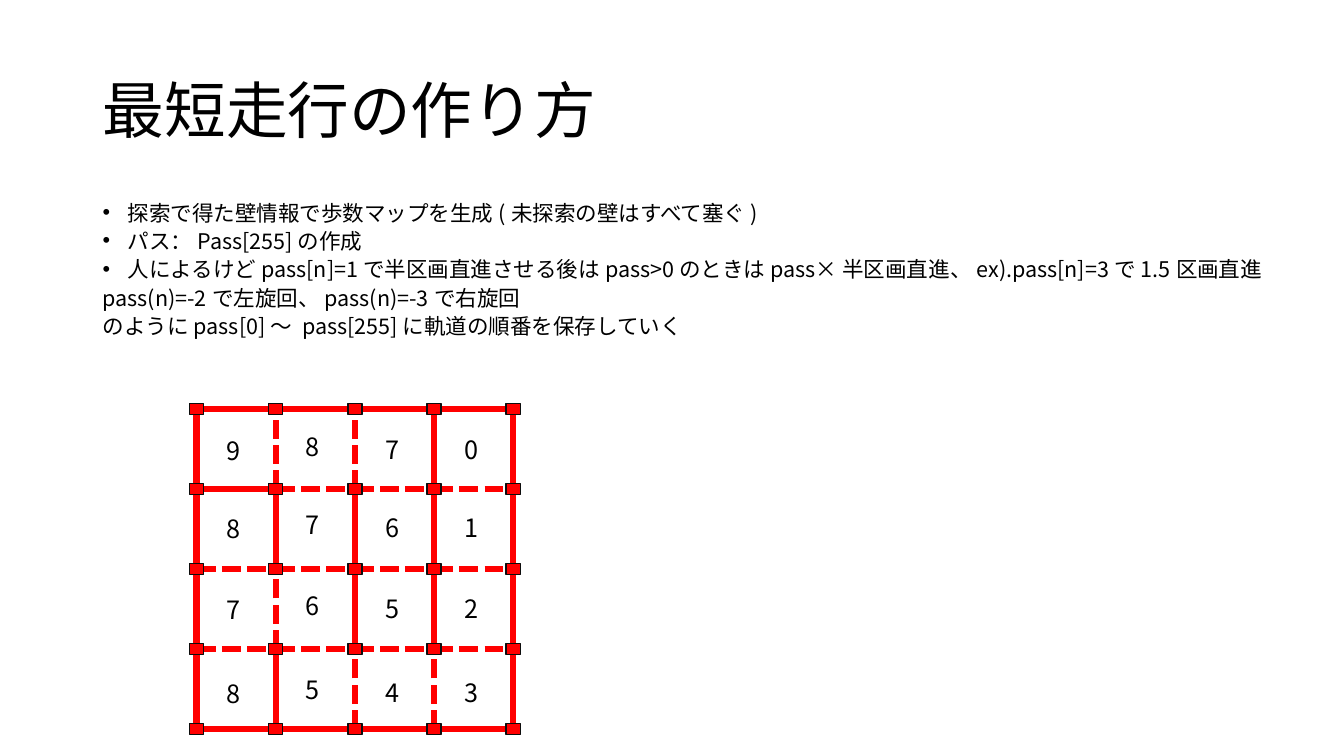
import pptx
import pptx.util
import pptx.dml.color
import pptx.enum.dml
import pptx.enum.shapes
import pptx.enum.text
import pptx.oxml.ns
import lxml.etree

Inches = pptx.util.Inches
Pt = pptx.util.Pt
qn = pptx.oxml.ns.qn
RGBColor = pptx.dml.color.RGBColor
DASH = pptx.enum.dml.MSO_LINE

BLACK = RGBColor(0x00, 0x00, 0x00)
RED = RGBColor(0xFF, 0x00, 0x00)
POST_EDGE = RGBColor(0x0D, 0x0D, 0x0D)
FONT = "Noto Sans CJK JP"

TITLE = "最短走行の作り方"
NOTES = [  # (bulleted, text)
    (True, "探索で得た壁情報で歩数マップを生成(未探索の壁はすべて塞ぐ)"),
    (True, "パス：Pass[255]の作成"),
    (True, "人によるけどpass[n]=1で半区画直進させる後はpass>0のときは"
           "pass×半区画直進、ex).pass[n]=3で1.5区画直進"),
    (False, "pass(n)=-2で左旋回、pass(n)=-3で右旋回"),
    (False, "のようにpass[0]～ pass[255]に軌道の順番を保存していく"),
]

# Maze: "#" is a wall, "." is an open side
ROW_WALLS = ["####", "#...", "....", "....", "####"]
COLUMN_WALLS = ["#..##", "#####", "#.###", "##..#"]
STEPS = ["9870", "8761", "7652", "8543"]
ROW_OFFSETS = [0.2, 0.18, 0.19, 0.23]
COLUMN_NUDGES = [0.01, -0.03, 0, 0]
POST_W, POST_H = 0.14, 0.11
LABEL_W, LABEL_H = 0.48, 0.4


def add_run(p, text, size):
    r = p.add_run()
    r.text = text
    r.font.size = Pt(size)
    r.font.name = FONT
    r.font.color.rgb = BLACK
    lxml.etree.SubElement(r.font._element, qn("a:ea"), typeface=FONT)


def add_text_box(slide, x, y, w, h):
    tf = slide.shapes.add_textbox(Inches(x), Inches(y), Inches(w), Inches(h)).text_frame
    tf.word_wrap = True
    return tf


def add_title(slide, x, y, w, h):
    sp = slide.shapes.title
    sp.left, sp.top, sp.width, sp.height = map(Inches, (x, y, w, h))
    tf = sp.text_frame
    tf.vertical_anchor = pptx.enum.text.MSO_ANCHOR.MIDDLE
    p = tf.paragraphs[0]
    p.alignment = pptx.enum.text.PP_ALIGN.LEFT
    p.line_spacing = 0.9
    add_run(p, TITLE, 44)


def add_notes_text(slide, x, y, w, h):
    tf = add_text_box(slide, x, y, w, h)
    for i, (bulleted, text) in enumerate(NOTES):
        p = tf.add_paragraph() if i else tf.paragraphs[0]
        p.line_spacing = 0.7
        if i:
            p.space_before = Pt(7.4)
        if bulleted:
            pPr = p._p.get_or_add_pPr()
            pPr.set("marL", str(Inches(0.25)))
            pPr.set("indent", str(-Inches(0.25)))
            lxml.etree.SubElement(pPr, qn("a:buFont"), typeface="Arial")
            lxml.etree.SubElement(pPr, qn("a:buChar"), char="•")
        add_run(p, text, 15.4)


def add_wall(slide, x1, y1, x2, y2, mark):
    line = slide.shapes.add_connector(
        pptx.enum.shapes.MSO_CONNECTOR.STRAIGHT, *map(Inches, (x1, y1, x2, y2)))
    line.line.color.rgb = RED
    line.line.width = Pt(4.5)
    if mark == ".":
        line.line.dash_style = DASH.SQUARE_DOT
    lxml.etree.SubElement(line._element.spPr, qn("a:effectLst"))


def add_post(slide, x, y):
    sp = slide.shapes.add_shape(
        pptx.enum.shapes.MSO_SHAPE.RECTANGLE, Inches(x - POST_W / 2),
        Inches(y - POST_H / 2), Inches(POST_W), Inches(POST_H))
    sp.shadow.inherit = False
    sp.fill.solid()
    sp.fill.fore_color.rgb = RED
    sp.line.color.rgb = POST_EDGE
    sp.line.width = Pt(1)


def add_maze(slide, x, y, w, h):
    n = len(STEPS)
    xs = [x + w * i / n for i in range(n + 1)]
    ys = [y + h * i / n for i in range(n + 1)]
    # Walls
    for row, marks in enumerate(ROW_WALLS):
        for col, mark in enumerate(marks):
            add_wall(slide, xs[col], ys[row], xs[col + 1], ys[row], mark)
    for row, marks in enumerate(COLUMN_WALLS):
        for col, mark in enumerate(marks):
            add_wall(slide, xs[col], ys[row + 1], xs[col], ys[row], mark)
    # Corner posts
    for post_y in ys:
        for post_x in xs:
            add_post(slide, post_x, post_y)
    # Step counts
    for row, counts in enumerate(STEPS):
        for col, count in enumerate(counts):
            top = ys[row] + ROW_OFFSETS[row] + COLUMN_NUDGES[col]
            tf = add_text_box(slide, xs[col] + 0.2, top, LABEL_W, LABEL_H)
            add_run(tf.paragraphs[0], count, 18)


def main():
    prs = pptx.Presentation()
    prs.slide_width, prs.slide_height = Inches(13.33), Inches(7.5)
    slide = prs.slides.add_slide(prs.slide_layouts[5])
    add_title(slide, 0.92, 0.4, 11.5, 1.45)
    add_notes_text(slide, 0.92, 2, 11.83, 1.85)
    add_maze(slide, 1.95, 4.06, 3.14, 3.17)
    prs.save("out.pptx")


if __name__ == "__main__":
    main()
